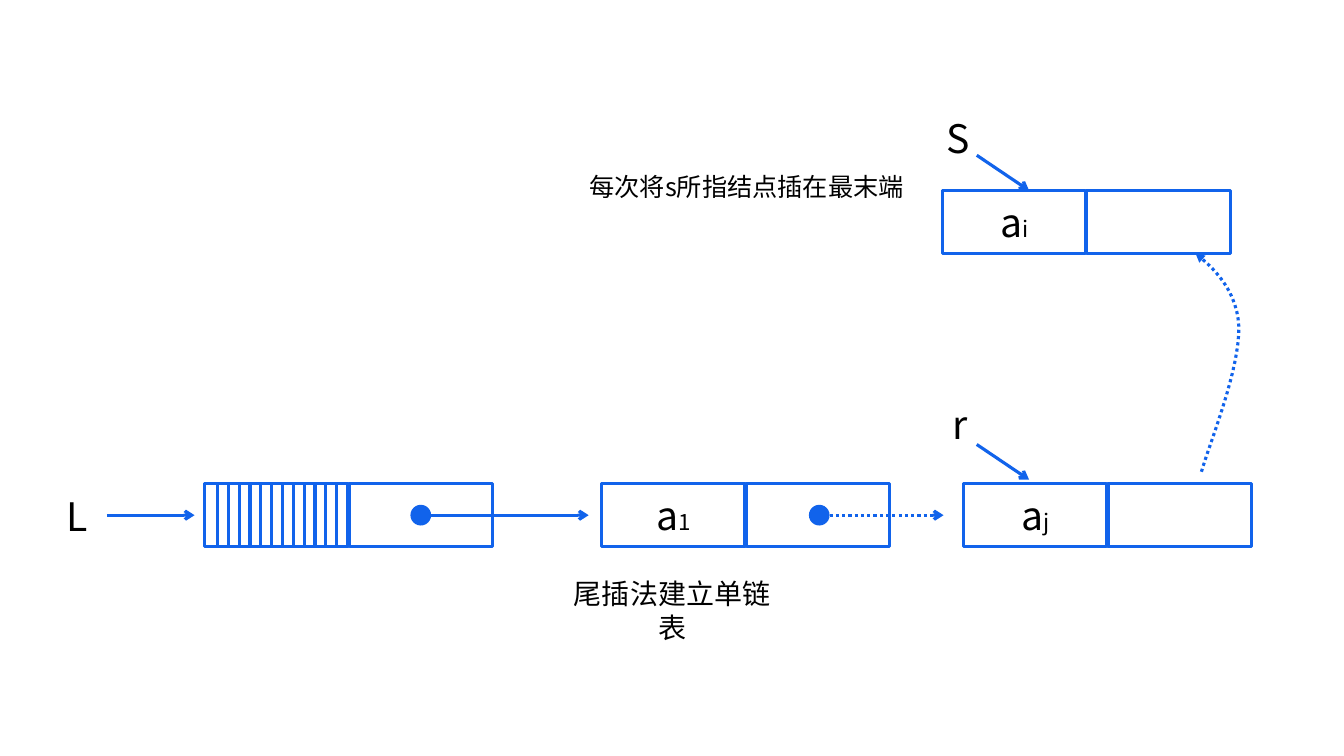
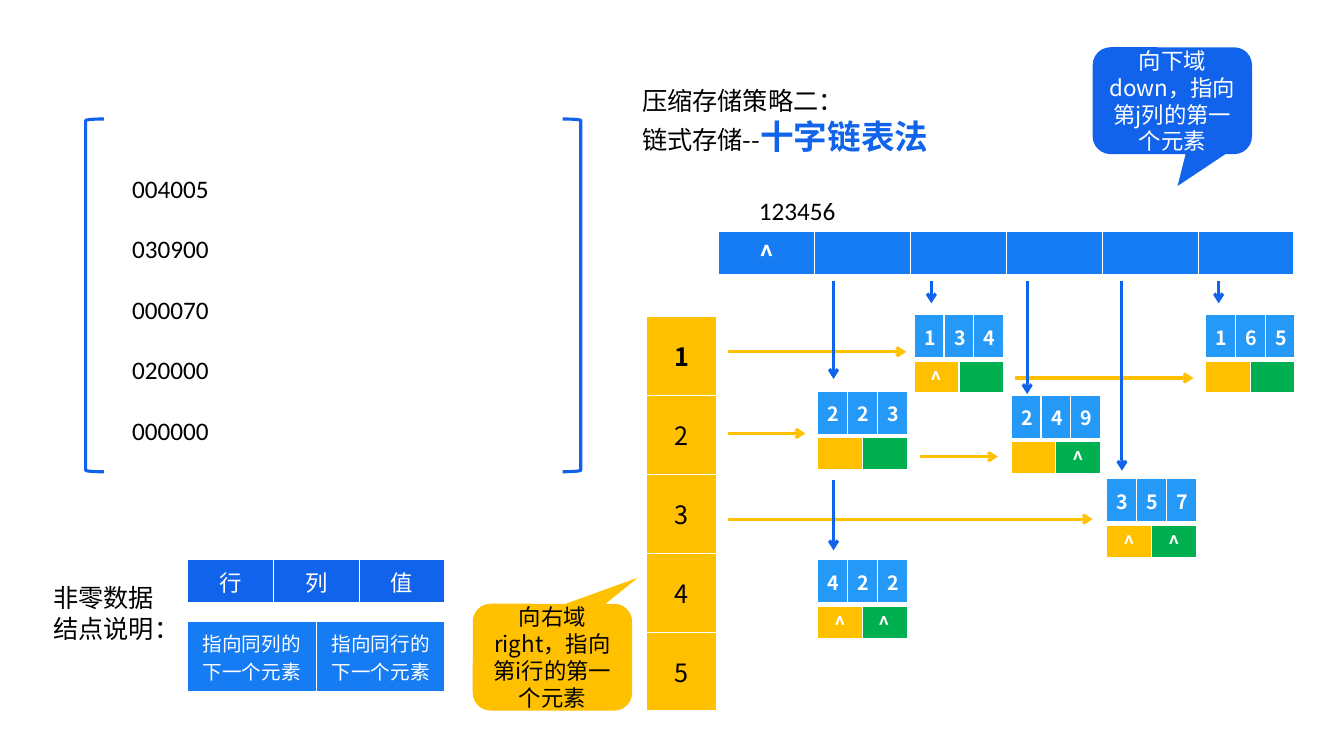
from dataclasses import dataclass

from lxml.etree import SubElement
from pptx import Presentation
from pptx.dml.color import RGBColor as Color
from pptx.enum.dml import MSO_LINE_DASH_STYLE as Dash
from pptx.enum.shapes import MSO_CONNECTOR as Connector, MSO_SHAPE as Shape
from pptx.enum.text import MSO_ANCHOR as Anchor, MSO_AUTO_SIZE as AutoSize, PP_ALIGN as Align
from pptx.oxml.ns import qn
from pptx.util import Pt


@dataclass(frozen=True)
class Theme:
    blue: Color = Color(0x11, 0x63, 0xEB)
    header: Color = Color(0x15, 0x7C, 0xF3)
    node: Color = Color(0x24, 0x99, 0xF8)
    gold: Color = Color(0xFF, 0xC0, 0x00)
    green: Color = Color(0x00, 0xB0, 0x50)
    black: Color = Color(0, 0, 0)
    white: Color = Color(255, 255, 255)
    font: str = "Noto Sans CJK SC"
    digits: str = "Calibri"
    symbol: float = 28
    emphasis: float = 24
    caption: float = 20
    body: float = 18
    label: float = 16
    small: float = 14
    stroke: float = 2.25


THEME = Theme()

INSERT_TITLE = "尾插法建立单链表"
INSERT_NOTE = "每次将s所指结点插在最末端"
LIST_NODES = [
    (146.2, 345.6, "", ""),
    (429.8, 345.6, "a", "1"),
    (688.3, 345.6, "a", "j"),
    (673.2, 136.1, "a", "i"),
]
BOX_WIDTH, BOX_HEIGHT, BOX_STEP = 102.4, 44.8, 103.2
HATCH_COUNT, HATCH_START, HATCH_STEP = 12, 155.4, 7.73
LINKS = [((308, 368), (420.5, 368), False), ((592.6, 368), (674, 368), True)]
DOT = 14.8
POINTERS = [
    ("L", (40.3, 347.8, 31, 41), (76.3, 368), (139, 368)),
    ("r", (673.2, 282.2, 24.5, 41), (697.7, 317.5), (735.1, 342.7)),
    ("S", (668.9, 77.8, 33.1, 41), (697.7, 110.9), (735.1, 136.1)),
]
NEXT_CURVE = [
    [(858.2, 337), (864, 316.8), (885.6, 264.2), (884.9, 233.3)],
    [(884.9, 233.3), (883.4, 202.3), (859.7, 186.5), (853.9, 180.7)],
]
CURVE_STEPS = 16

STRATEGY = ["压缩存储策略二：", "链式存储--", "十字链表法"]
MATRIX = ["004005", "030900", "000070", "020000", "000000"]
BRACKETS = [(Shape.LEFT_BRACKET, 61.2), (Shape.RIGHT_BRACKET, 401.8)]
NODE_NOTE = ["非零数据", "结点说明："]
FIELDS = ["行", "列", "值"]
FIELD_LINKS = ["指向同列的下一个元素", "指向同行的下一个元素"]
COLUMN_NUMBERS = "123456"
COLUMN_HEADS = ["^", "", "", "", "", ""]
ROW_HEADS = ["1", "2", "3", "4", "5"]
CROSS_NODES = [
    (653, 224.6, "134", ("^", "")),
    (861.1, 224.6, "165", ("", "")),
    (584, 279.4, "223", ("", "")),
    (722.2, 282.2, "249", ("", "^")),
    (790.6, 342, "357", ("^", "^")),
    (584, 399.6, "422", ("^", "^")),
]
NODE_WIDTH, NODE_HEIGHT, LINK_HEIGHT, LINK_OFFSET = 64, 31.7, 23.8, 33.3
ROW_ARROWS = [
    (251.3, 519.8, 647.3), (309.6, 519.8, 575.3), (370.8, 519.8, 780.5),
    (270, 725, 852.5), (326.2, 657.4, 712.8),
]
COLUMN_ARROWS = [
    (595.4, 200.9, 270.7), (595.4, 342.7, 393.1), (665.3, 200.9, 216.7),
    (733.7, 200.9, 281.5), (801.4, 200.9, 336.2), (870.5, 200.9, 216.7),
]
CALLOUTS = [
    ("向右域right，指向第i行的第一个元素", 337.7, 431.3, (0.536, -0.744), THEME.gold, THEME.black),
    ("向下域down，指向第j列的第一个元素", 780.5, 33.8, (0.033, 0.799), THEME.blue, THEME.white),
]


def points(*values):
    return [Pt(value) for value in values]


def add_run(paragraph, text, size, color=THEME.black, bold=False, font=THEME.font):
    run = paragraph.add_run()
    run.text = text
    run.font.size = Pt(size)
    run.font.bold = bold
    run.font.color.rgb = color
    run.font.name = font
    east_asian = SubElement(run.font._element, qn("a:ea"))
    east_asian.set("typeface", font)


def write(frame, lines, size, align=Align.LEFT, **style):
    frame.word_wrap = True
    for index, line in enumerate(lines):
        paragraph = frame.add_paragraph() if index else frame.paragraphs[0]
        paragraph.alignment = align
        add_run(paragraph, line, size, **style)


def add_text(slide, lines, box, size, align=Align.LEFT, **style):
    write(slide.shapes.add_textbox(*points(*box)).text_frame, lines, size, align, **style)


def place(placeholder, box):
    placeholder.left, placeholder.top, placeholder.width, placeholder.height = points(*box)
    frame = placeholder.text_frame
    frame.auto_size = AutoSize.NONE
    frame.vertical_anchor = Anchor.TOP
    return frame


def stroke(line, color=THEME.blue, dotted=False):
    line.color.rgb = color
    line.width = Pt(THEME.stroke)
    if dotted:
        line.dash_style = Dash.ROUND_DOT


def add_head(shape, kind):
    SubElement(shape.element.spPr.find(qn("a:ln")), qn("a:tailEnd")).set("type", kind)


def add_line(slide, start, end, color=THEME.blue, dotted=False, arrow=True):
    connector = slide.shapes.add_connector(Connector.STRAIGHT, *points(*start, *end))
    stroke(connector.line, color, dotted)
    if arrow:
        add_head(connector, "arrow")
    SubElement(connector.element.spPr, qn("a:effectLst"))


def add_outline(slide, kind, box):
    shape = slide.shapes.add_shape(kind, *points(*box))
    shape.shadow.inherit = False
    shape.fill.background()
    stroke(shape.line)
    return shape


def add_solid(slide, kind, box, color):
    shape = slide.shapes.add_shape(kind, *points(*box))
    shape.shadow.inherit = False
    shape.fill.solid()
    shape.fill.fore_color.rgb = color
    shape.line.fill.background()
    return shape


def add_borders(cell, bottom):
    properties = cell._tc.get_or_add_tcPr()
    for side, width in (("L", 1), ("R", 1), ("T", 1), ("B", bottom)):
        border = SubElement(properties, qn(f"a:ln{side}"), w=str(Pt(width)))
        fill = SubElement(border, qn("a:solidFill"))
        SubElement(fill, qn("a:srgbClr"), val=str(THEME.white))


def add_grid(slide, rows, box, fills, size, color=THEME.white, bold_rows=(), bottom=3):
    table = slide.shapes.add_table(len(rows), len(rows[0]), *points(*box)).table
    table.first_row = table.horz_banding = False
    for column in table.columns:
        column.width = Pt(box[2] / len(rows[0]))
    for row_index, texts in enumerate(rows):
        table.rows[row_index].height = Pt(box[3] / len(rows))
        for column_index, text in enumerate(texts):
            cell = table.cell(row_index, column_index)
            cell.margin_top = cell.margin_bottom = 0
            cell.vertical_anchor = Anchor.MIDDLE
            add_borders(cell, bottom)
            cell.fill.solid()
            cell.fill.fore_color.rgb = fills[column_index % len(fills)]
            if text:
                write(cell.text_frame, [text], size, Align.CENTER,
                      color=color, bold=row_index in bold_rows)


def add_list_node(slide, left, top, letter, subscript):
    data, link = [
        add_outline(slide, Shape.RECTANGLE, (left + index * BOX_STEP, top, BOX_WIDTH, BOX_HEIGHT))
        for index in range(2)
    ]
    if letter:
        paragraph = data.text_frame.paragraphs[0]
        paragraph.alignment = Align.CENTER
        add_run(paragraph, letter, THEME.symbol)
        add_run(paragraph, subscript, THEME.label)


def bezier(controls, step):
    after = step / CURVE_STEPS
    before = 1 - after
    weights = (before ** 3, 3 * before ** 2 * after, 3 * before * after ** 2, after ** 3)
    return tuple(Pt(sum(w * value for w, value in zip(weights, axis))) for axis in zip(*controls))


def add_curve(slide, segments):
    builder = slide.shapes.build_freeform(*points(*segments[0][0]))
    builder.add_line_segments(
        [bezier(controls, step) for controls in segments for step in range(1, CURVE_STEPS + 1)],
        close=False,
    )
    curve = builder.convert_to_shape()
    curve.shadow.inherit = False
    curve.fill.background()
    stroke(curve.line, dotted=True)
    add_head(curve, "triangle")


def build_tail_insert(presentation):
    slide = presentation.slides.add_slide(presentation.slide_layouts[5])
    title = place(slide.shapes.title, (393.1, 408.2, 174, 55))
    write(title, [INSERT_TITLE], THEME.caption, Align.CENTER)
    for node in LIST_NODES:
        add_list_node(slide, *node)
    head_top = LIST_NODES[0][1]
    for index in range(HATCH_COUNT):
        x = HATCH_START + index * HATCH_STEP
        add_line(slide, (x, head_top), (x, head_top + BOX_HEIGHT), arrow=False)
    for start, end, dotted in LINKS:
        add_solid(slide, Shape.OVAL, (start[0] - DOT, start[1] - DOT / 2, DOT, DOT), THEME.blue)
        add_line(slide, start, end, dotted=dotted)
    for name, box, start, end in POINTERS:
        add_text(slide, [name], box, THEME.symbol)
        add_line(slide, start, end)
    add_curve(slide, NEXT_CURVE)
    add_text(slide, [INSERT_NOTE], (414, 118.8, 239.8, 50), THEME.body)


def add_matrix(slide):
    for kind, left in BRACKETS:
        add_outline(slide, kind, (left, 85, 13, 252))
    frame = place(slide.placeholders[1], (87.1, 98.6, 301.7, 225.4))
    write(frame, MATRIX, THEME.body, Align.JUSTIFY, font=THEME.digits)
    for paragraph in frame.paragraphs:
        paragraph.line_spacing = 2.0
        paragraph.space_before = Pt(0)
        properties = paragraph._p.get_or_add_pPr()
        properties.set("marL", "0")
        properties.set("indent", "0")
        SubElement(properties, qn("a:buNone"))


def build_cross_list(presentation):
    slide = presentation.slides.add_slide(presentation.slide_layouts[1])
    title = place(slide.shapes.title, (451.4, 57.6, 280, 58.3))
    write(title, STRATEGY[:2], THEME.body)
    add_run(title.paragraphs[1], STRATEGY[2], THEME.emphasis, THEME.blue, True)
    add_matrix(slide)
    add_text(slide, NODE_NOTE, (31, 412.6, 98.6, 51), THEME.body)
    add_grid(slide, [FIELDS], (133.9, 399.6, 184, 31.7), [THEME.blue], THEME.label)
    add_grid(slide, [FIELD_LINKS], (133.9, 443.7, 184, 51), [THEME.header], THEME.small)
    add_text(slide, [COLUMN_NUMBERS], (535, 136.1, 368, 29), THEME.body,
             Align.JUSTIFY, font=THEME.digits)
    add_grid(slide, [COLUMN_HEADS], (513.4, 165.2, 411, 31.7), [THEME.header],
             THEME.body, bold_rows=(0,))
    add_grid(slide, [[text] for text in ROW_HEADS], (461.7, 226, 50.4, 282), [THEME.gold],
             THEME.body, THEME.black, bold_rows=(0,), bottom=1)
    for left, top, values, links in CROSS_NODES:
        add_grid(slide, [values], (left, top, NODE_WIDTH, NODE_HEIGHT), [THEME.node],
                 THEME.small, bold_rows=(0,))
        add_grid(slide, [links], (left, top + LINK_OFFSET, NODE_WIDTH, LINK_HEIGHT),
                 [THEME.gold, THEME.green], THEME.small, bold_rows=(0,))
    for y, start, end in ROW_ARROWS:
        add_line(slide, (start, y), (end, y), THEME.gold)
    for x, start, end in COLUMN_ARROWS:
        add_line(slide, (x, start), (x, end))
    for text, left, top, tip, fill, color in CALLOUTS:
        callout = add_solid(slide, Shape.ROUNDED_RECTANGULAR_CALLOUT,
                            (left, top, 113.8, 76.3), fill)
        callout.adjustments[0], callout.adjustments[1] = tip
        write(callout.text_frame, [text], THEME.label, Align.CENTER, color=color)


def main():
    presentation = Presentation()
    presentation.slide_width, presentation.slide_height = points(960, 540)
    build_tail_insert(presentation)
    build_cross_list(presentation)
    presentation.save("out.pptx")


if __name__ == "__main__":
    main()
